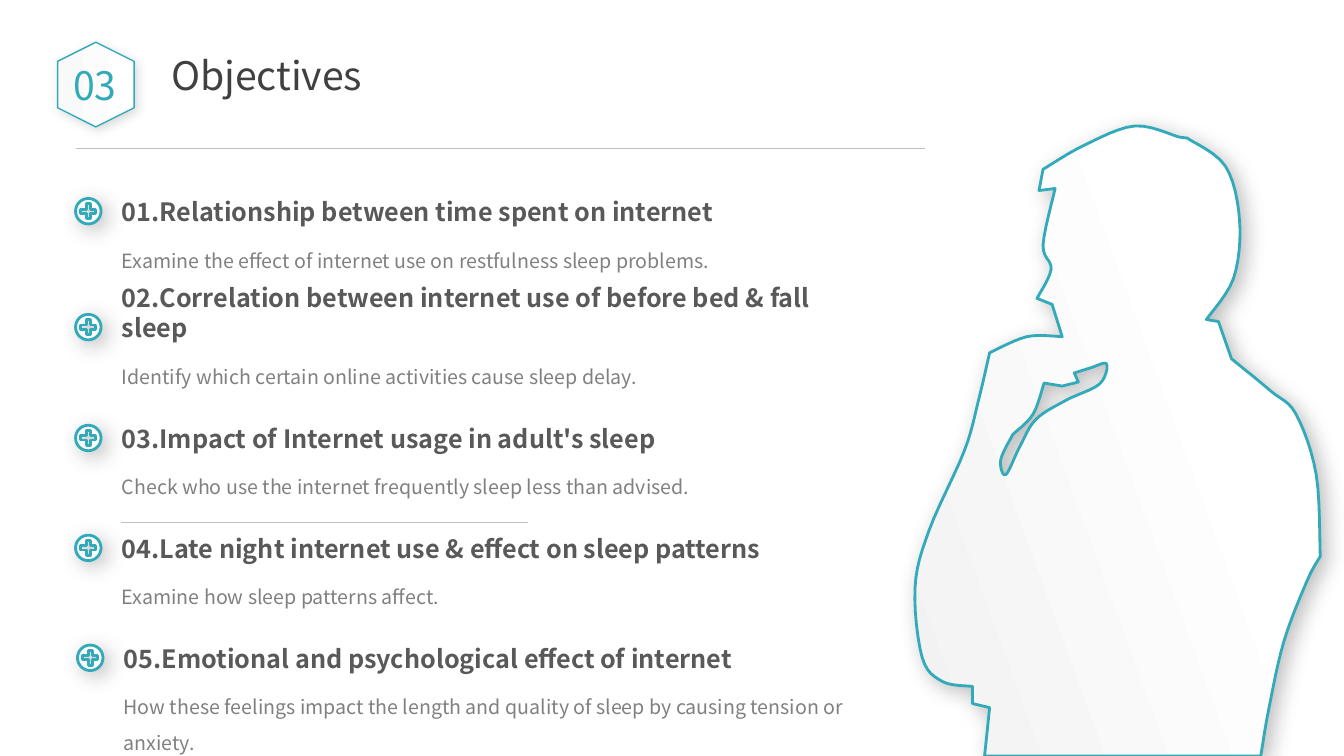
import math

import lxml.etree
import pptx
import pptx.dml.color
import pptx.enum.dml
import pptx.enum.shapes
import pptx.enum.text
import pptx.oxml
import pptx.oxml.ns
import pptx.util

Pt = pptx.util.Pt
ANCHOR = pptx.enum.text.MSO_ANCHOR
ALIGN = pptx.enum.text.PP_ALIGN
FONT = "Noto Sans CJK SC"
TEAL, RULE_GREY = "33AAB9", "BFBFBF"

OBJECTIVES = [
    (54, 131, "01.Relationship between time spent on internet",
     "Examine the effect of internet use on restfulness sleep problems."),
    (54, 213.8, "02.Correlation between internet use of before bed & fall sleep",
     "Identify which certain online activities cause sleep delay."),
    (54, 293, "03.Impact of Internet usage in adult's sleep",
     "Check who use the internet frequently sleep less than advised."),
    (54, 371.5, "04.Late night internet use & effect on sleep patterns",
     "Examine how sleep patterns affect."),
    (55.4, 450, "05.Emotional and psychological effect of internet",
     "How these feelings impact the length and quality of sleep by causing tension or anxiety."),
]

THINKER_BODY = [
    [(966, 681)], [(966, 698)], [(983, 702)], [(978, 750)],
    [(1252, 750), (1260, 703), (1275, 636), (1298, 576), (1311, 552)],
    [(1311, 552), (1307, 471), (1287, 411), (1262, 388), (1223, 356)],
    [(1210, 319)],
    [(1198, 317), (1225, 276), (1231, 219), (1217, 165), (1179, 137)],
    [(1171, 136), (1127, 125), (1077, 144), (1036, 168)],
    [(1032, 189)],
    [(1048, 187), (1036, 243), (1044, 267), (1030, 296)],
    [(1045, 302)],
    [(1055, 334), (1020, 334), (983, 350)],
    [(983, 350), (972, 397), (958, 447), (923, 526), (909, 583), (916, 652), (936, 676),
     (966, 681)],
]
THINKER_HAND_GAP = [
    [(1006, 431), (1026, 411), (1037, 380)],
    [(1055, 383), (1071, 379)],
    [(1067, 370), (1083, 365), (1099, 361), (1092, 381), (1059, 397), (1029, 416),
     (1013, 443), (999, 471), (994, 456), (1006, 431)],
]


def color(hex_string):
    """Turn a hex string into a colour."""
    return pptx.dml.color.RGBColor.from_string(hex_string)


def smooth_run(run, steps=6):
    """Return points along a smooth curve through every point of a run."""
    padded = [run[0], *run, run[-1]]
    points = [run[0]]
    for before, start, end, after in zip(padded, padded[1:], padded[2:], padded[3:]):
        for t in (step / steps for step in range(1, steps + 1)):
            points.append(tuple(
                b + t * (c - a) / 2 + t * t * (a - 2.5 * b + 2 * c - d / 2)
                + t ** 3 * (1.5 * (b - c) + (d - a) / 2)
                for a, b, c, d in zip(before, start, end, after)))
    return points


def trace_runs(runs):
    """Join smooth runs by straight lines into one contour."""
    return [point for run in runs for point in smooth_run(run)]


def add_outline(shapes, left, top, contours, unit):
    """Draw closed contours with their top left corner at the given place."""
    fine = [[(round(x * 20), round(y * 20)) for x, y in contour] for contour in contours]
    scale = Pt(unit) / 20
    min_x = min(x for contour in fine for x, y in contour)
    min_y = min(y for contour in fine for x, y in contour)
    builder = shapes.build_freeform(*fine[0][0], scale=scale)
    builder.add_line_segments(fine[0][1:], close=True)
    for contour in fine[1:]:
        builder.move_to(*contour[0])
        builder.add_line_segments(contour[1:], close=True)
    return builder.convert_to_shape(round(Pt(left) - min_x * scale),
                                    round(Pt(top) - min_y * scale))


def style_paper(shape, stops=((0.3, "FFFFFF"), (1, "F2F2F2")), angle=200, line_width=2,
                shadow=(25, 15, 5)):
    """Give a shape a pale gradient, a teal line and a soft shadow."""
    shape.fill.gradient()
    shape.fill.gradient_angle = angle
    for gradient_stop, (position, hex_string) in zip(shape.fill.gradient_stops, stops):
        gradient_stop.position = position
        gradient_stop.color.rgb = color(hex_string)
    shape.line.color.rgb = color(TEAL)
    shape.line.width = Pt(line_width)
    shape.shadow.inherit = False
    alpha, blur, distance = shadow
    effects = shape._element.spPr.find(pptx.oxml.ns.qn("a:effectLst"))
    effects.append(pptx.oxml.parse_xml(
        f'<a:outerShdw {pptx.oxml.ns.nsdecls("a")} blurRad="{Pt(blur)}" dist="{Pt(distance)}" '
        f'dir="2700000" algn="tl" rotWithShape="0"><a:srgbClr val="000000">'
        f'<a:alpha val="{alpha * 1000}"/></a:srgbClr></a:outerShdw>'))


def add_text(shapes, left, top, width, height, text, size, hex_string, bold=False,
             align=ALIGN.LEFT, anchor=ANCHOR.TOP, wrap=True, spacing=None):
    """Add one paragraph of text in a box."""
    box = shapes.add_textbox(Pt(left), Pt(top), Pt(width), Pt(height))
    frame = box.text_frame
    frame.word_wrap = wrap
    frame.vertical_anchor = anchor
    paragraph = frame.paragraphs[0]
    paragraph.alignment = align
    paragraph.line_spacing = spacing
    run = paragraph.add_run()
    run.text = text
    run.font.name = FONT
    run.font.size = Pt(size)
    run.font.bold = bold
    run.font.color.rgb = color(hex_string)


def add_rule(shapes, left, top, width):
    """Draw a thin horizontal line."""
    rule = shapes.add_connector(pptx.enum.shapes.MSO_CONNECTOR.STRAIGHT,
                                Pt(left), Pt(top), Pt(left + width), Pt(top))
    rule.line.color.rgb = color(RULE_GREY)
    rule.line.width = Pt(0.25)
    lxml.etree.SubElement(rule._element.spPr, pptx.oxml.ns.qn("a:effectLst"))


def add_header(shapes, left, top, number, title):
    """Place the numbered hexagon and the title beside it."""
    header = shapes.add_group_shape().shapes
    add_text(header, left + 80.6, top, 155.5, 41.2, title, 28, "404040", wrap=False)
    hexagon = header.add_shape(pptx.enum.shapes.MSO_SHAPE.HEXAGON,
                               Pt(left + 3.6), Pt(top), Pt(60.5), Pt(54.7))
    hexagon.rotation = 90
    style_paper(hexagon, stops=((0, "FFFFFF"), (1, "F9F9F9")), angle=270, line_width=1,
                shadow=(15, 8, 3))
    add_text(header, left, top + 7.2, 66.2, 41.2, number, 28, TEAL, align=ALIGN.CENTER)


def add_plus_badge(shapes, left, top, radius=9.1, arm=5.3, half=1.5):
    """Draw a circle with a plus cut out of it."""
    circle = [(radius * math.cos(math.radians(a)), radius * math.sin(math.radians(a)))
              for a in range(0, 360, 10)]
    turns = [(1, 0), (0, 1), (-1, 0), (0, -1)]
    plus = [(x * c - y * s, x * s + y * c) for c, s in turns
            for x, y in [(arm, -half), (arm, half), (half, half)]]
    style_paper(add_outline(shapes, left, top, [circle, plus[::-1]], 1))


def add_objective(shapes, left, top, heading, detail):
    """Place a badge, a heading and the detail under it."""
    add_plus_badge(shapes, left, top + 10.8)
    add_text(shapes, left + 25.9, top, 556.6, 34.6, heading, 18, "595959", bold=True,
             anchor=ANCHOR.BOTTOM, wrap=False)
    add_text(shapes, left + 25.9, top + 34.6, 556.6, 64, detail, 14, "808080", spacing=1.5)


def add_thinker(shapes, left, top):
    """Draw the outline of a thinking person."""
    contours = [trace_runs(THINKER_BODY), trace_runs(THINKER_HAND_GAP)]
    style_paper(add_outline(shapes, left, top, contours, 0.72))


def main():
    """Build and save the objectives slide."""
    deck = pptx.Presentation()
    deck.slide_width, deck.slide_height = Pt(960), Pt(540)
    shapes = deck.slides.add_slide(deck.slide_layouts[6]).shapes
    add_thinker(shapes, 653.5, 90)
    add_rule(shapes, 54, 106, 607)
    add_header(shapes, 34.6, 33.1, "03", "Objectives")
    for objective in OBJECTIVES:
        add_objective(shapes, *objective)
    add_rule(shapes, 86.4, 373, 290.9)
    deck.save("out.pptx")


if __name__ == "__main__":
    main()
